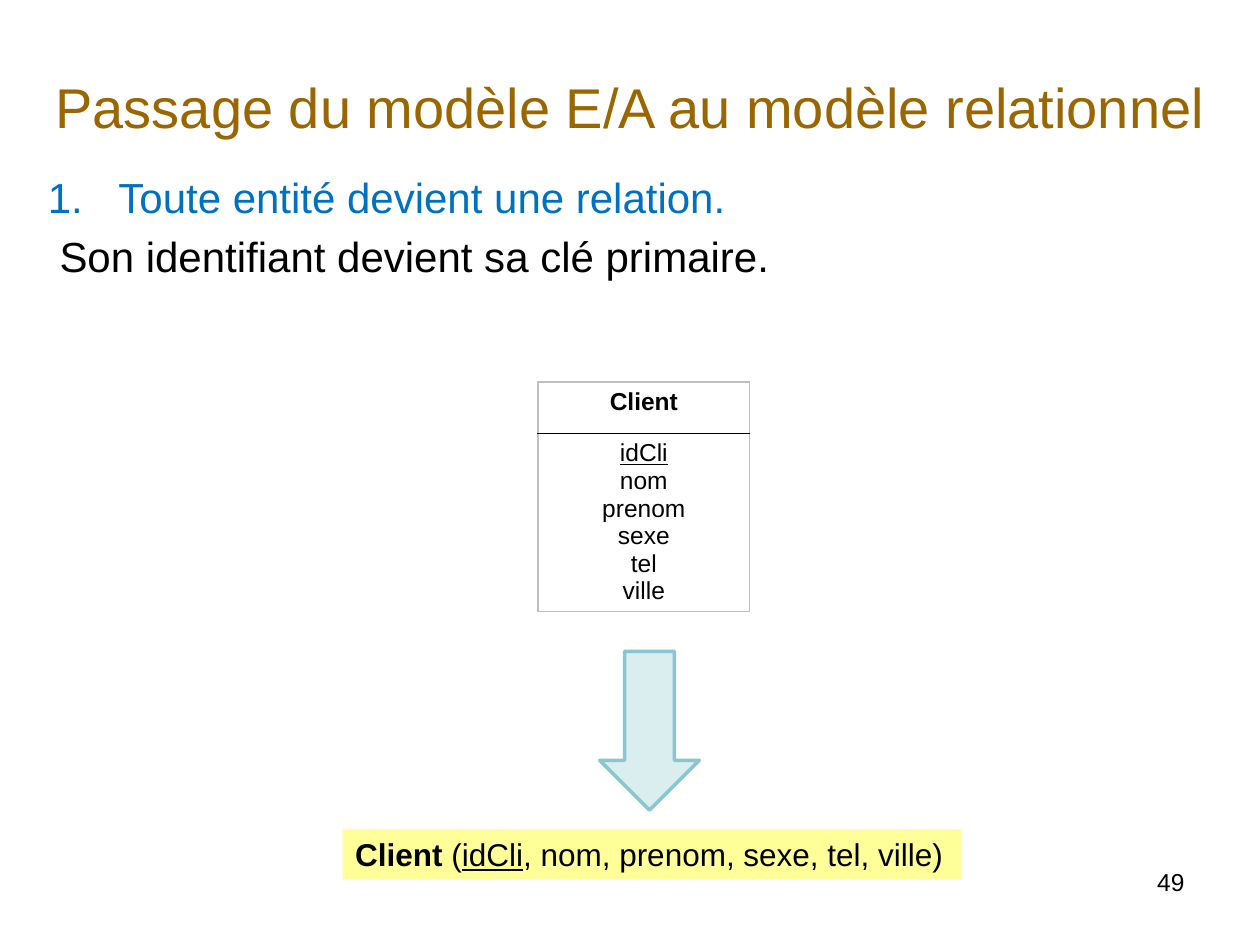
from lxml import etree
from pptx import Presentation
from pptx.dml.color import RGBColor
from pptx.enum.shapes import MSO_SHAPE
from pptx.enum.text import MSO_ANCHOR, MSO_AUTO_SIZE, PP_ALIGN
from pptx.oxml.ns import qn
from pptx.util import Inches, Pt

LEFT, CENTER, RIGHT = PP_ALIGN.LEFT, PP_ALIGN.CENTER, PP_ALIGN.RIGHT
TOP, MIDDLE = MSO_ANCHOR.TOP, MSO_ANCHOR.MIDDLE
RECTANGLE, DOWN_ARROW = MSO_SHAPE.RECTANGLE, MSO_SHAPE.DOWN_ARROW
NO_FIT = MSO_AUTO_SIZE.NONE

COLUMNS, ROWS = 100, 75  # grid cells are a tenth of an inch
BLACK, BROWN, BLUE = "000000", "996600", "0070C0"
GREY, YELLOW, PALE_TEAL, TEAL = "BFBFBF", "FFFF99", "DAEDEF", "8AC6CD"


def colour(code):
    return RGBColor.from_string(code)


class SlideBuilder:
    font_name = "Arial"

    def __init__(self, deck):
        self.deck = deck
        self.slide = deck.slides.add_slide(deck.slide_layouts[1])

    def area(self, left, top, width, height):
        """Turn grid columns and rows into slide lengths."""
        across, down = self.deck.slide_width / COLUMNS, self.deck.slide_height / ROWS
        return [int(n * cell) for n, cell in
                zip((left, top, width, height), (across, down, across, down))]

    def fill_text(self, frame, paras, size, align=LEFT, anchor=TOP):
        """Each paragraph is a list of (text, format values) spans."""
        settings = {"word_wrap": True, "auto_size": NO_FIT, "vertical_anchor": anchor}
        for name, value in settings.items():
            setattr(frame, name, value)
        for index, spans in enumerate(paras):
            para = frame.paragraphs[0] if index == 0 else frame.add_paragraph()
            para.alignment = align
            for text, values in spans:
                span = para.add_run()
                span.text = text
                formats = {"name": self.font_name, "size": Pt(size), "bold": False, **values}
                code = formats.pop("color", BLACK)
                for name, value in formats.items():
                    setattr(span.font, name, value)
                span.font.color.rgb = colour(code)

    def place(self, box, cells):
        box.left, box.top, box.width, box.height = self.area(*cells)

    def title(self, cells, text, size, code):
        box = self.slide.shapes.title
        self.place(box, cells)
        self.fill_text(box.text_frame, [[(text, {"color": code})]], size, CENTER, MIDDLE)

    def body(self, cells, paras, size, indents):
        """An indent above zero numbers the paragraph."""
        box = self.slide.placeholders[1]
        self.place(box, cells)
        self.fill_text(box.text_frame, paras, size)
        for para, indent in zip(box.text_frame.paragraphs, indents):
            props = para._p.get_or_add_pPr()
            props.set("marL", str(Inches(indent)))
            props.set("indent", str(-Inches(indent)))
            if indent:
                etree.SubElement(props, qn("a:buFont"), typeface="+mj-lt")
                etree.SubElement(props, qn("a:buAutoNum"), type="arabicPeriod")
            else:
                etree.SubElement(props, qn("a:buNone"))

    def text(self, cells, paras, size, align=LEFT):
        box = self.slide.shapes.add_textbox(*self.area(*cells))
        self.fill_text(box.text_frame, paras, size, align)

    def shape(self, kind, cells, fill, line=None, paras=(), size=18):
        box = self.slide.shapes.add_shape(kind, *self.area(*cells))
        box.shadow.inherit = False
        box.fill.solid()
        box.fill.fore_color.rgb = colour(fill)
        if line:
            box.line.color.rgb = colour(line)
            box.line.width = Pt(2)
        else:
            box.line.fill.background()
        self.fill_text(box.text_frame, paras, size)

    def border(self, cell, sides):
        props = cell._tc.get_or_add_tcPr()
        for index, (side, code) in enumerate(sides.items()):
            line = etree.Element(qn("a:ln" + side), w=str(Pt(1)))
            fill = etree.SubElement(line, qn("a:solidFill"))
            etree.SubElement(fill, qn("a:srgbClr"), val=code)
            props.insert(index, line)

    def entity_table(self, cells, row_heights, contents, size):
        """One column, grey outside and black between the rows."""
        table = self.slide.shapes.add_table(len(contents), 1, *self.area(*cells)).table
        table.first_row = table.horz_banding = False
        last = len(contents) - 1
        for index, (height, paras) in enumerate(zip(row_heights, contents)):
            table.rows[index].height = self.area(0, 0, 0, height)[3]
            cell = table.cell(index, 0)
            cell.fill.background()
            self.border(cell, {"L": GREY, "R": GREY,
                               "T": BLACK if index else GREY,
                               "B": BLACK if index < last else GREY})
            self.fill_text(cell.text_frame, paras, size, CENTER)


def main():
    deck = Presentation()
    deck.slide_width, deck.slide_height = Inches(10), Inches(7.5)
    page = SlideBuilder(deck)
    bold, key = {"bold": True}, {"underline": True}

    # Page number
    page.text((71.7, 68.3, 23.3, 5.2), [[("49", {})]], 14, RIGHT)

    # Title and rule
    page.title((2, 3, 96.1, 10.9), "Passage du modèle E/A au modèle relationnel", 32, BROWN)
    page.body((2.8, 13.1, 95.3, 10.6),
              [[("Toute entité devient une relation.", {"color": BLUE})],
               [(" Son identifiant devient sa clé primaire.", {})]],
              24, (0.56, 0))

    # Entity
    fields = ["nom", "prenom", "sexe", "tel", "ville"]
    attributes = [[("idCli", key)]] + [[(field, {})] for field in fields]
    page.entity_table((42.7, 30.3, 16.8, 18.2), (4.1, 14.1),
                      [[[("Client", bold)]], attributes], 14)

    # Resulting relation
    page.shape(RECTANGLE, (27.2, 65.8, 49.1, 4), YELLOW, paras=[[
        ("Client ", bold), ("(", {}), ("idCli", key),
        (", " + ", ".join(fields) + ")", {})]])
    page.shape(DOWN_ARROW, (47.6, 51.7, 7.9, 12.6), PALE_TEAL, TEAL)

    deck.save("out.pptx")


if __name__ == "__main__":
    main()
